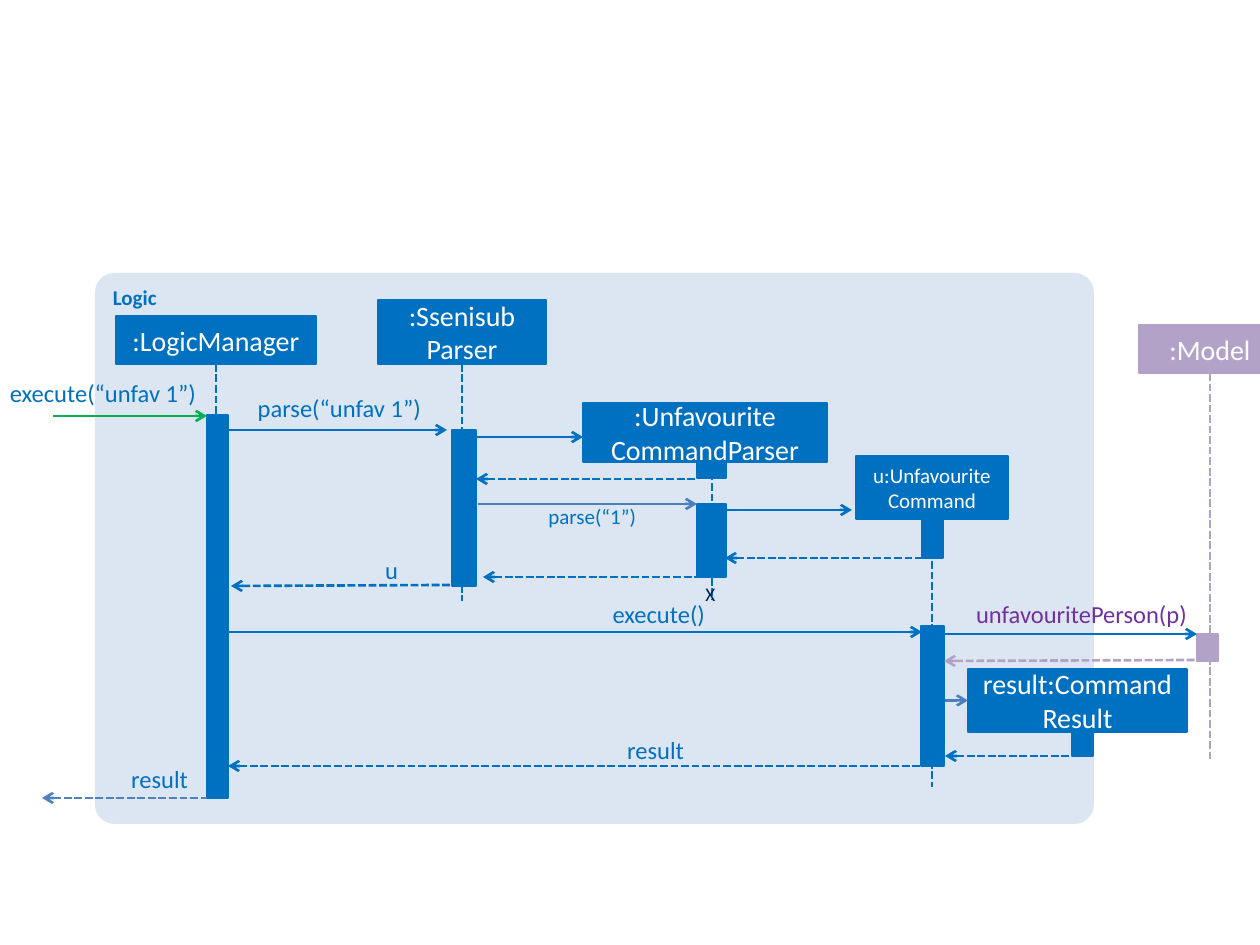
from lxml.etree import SubElement
from pptx import Presentation
from pptx.dml.color import RGBColor
from pptx.enum.dml import MSO_LINE
from pptx.enum.shapes import MSO_CONNECTOR, MSO_SHAPE
from pptx.enum.text import MSO_ANCHOR, MSO_AUTO_SIZE, PP_ALIGN
from pptx.oxml.ns import qn
from pptx.util import Emu, Pt

PX = 914400 // 126
COLORS = {
    "frame": "DCE6F2", "logic": "0070C0", "model": "B3A2C7", "entry": "00B050",
    "exit": "4F81BD", "call": "4B7EBC", "model_text": "7030A0",
    "destroy": "002060", "white": "FFFFFF",
}
FRAME = (95, 273, 999, 551)
HEADERS = {
    "manager": (":LogicManager", (116, 316, 200, 48), 16, "logic"),
    "parser": (":Ssenisub\nParser", (378, 300, 168, 64), 16, "logic"),
    "command": ("u:Unfavourite\vCommand", (856, 456, 152, 63), 12, "logic"),
    "model": (":Model", (1139, 325, 142, 48), 16, "model"),
    "result": ("result:Command Result", (968, 669, 219, 63), 16, "logic"),
    "command_parser": (":Unfavourite\nCommandParser", (583, 403, 244, 59), 16, "logic"),
}
LIFELINE_ENDS = {"manager": 725, "parser": 601, "command": 787, "model": 762}
COMMAND_PARSER_LIFELINE = (712, 462, 712, 599)
ACTIVATIONS = [
    ((207, 415, 21, 383), "logic"),
    ((452, 430, 24, 156), "logic"),
    ((922, 520, 21, 38), "logic"),
    ((921, 626, 23, 140), "logic"),
    ((1197, 634, 21, 28), "model"),
    ((1072, 732, 21, 24), "logic"),
    ((697, 462, 29, 16), "logic"),
    ((697, 504, 29, 73), "logic"),
]
CALLS = [
    ((53, 416, 207, 416), "entry"),
    ((228, 430, 447, 430), "logic"),
    ((470, 437, 583, 437), "logic"),
    ((478, 504, 697, 504), "call"),
    ((725, 510, 852, 510), "logic"),
    ((228, 632, 922, 632), "logic"),
    ((944, 634, 1197, 634), "logic"),
]
RESULT_CREATION_START = 945
RETURNS = [
    ((476, 479, 697, 479), "logic"),
    ((725, 558, 930, 558), "logic"),
    ((483, 577, 712, 577), "logic"),
    ((231, 586, 450, 585), "logic"),
    ((944, 661, 1197, 660), "model"),
    ((945, 756, 1079, 756), "logic"),
    ((228, 766, 924, 766), "logic"),
    ((42, 798, 207, 798), "exit"),
]
LABELS = [
    ("execute(“unfav 1”)", (-42, 378, 238, 30), 14, "logic"),
    ("parse(“unfav 1”)", (224, 393, 197, 30), 14, "logic"),
    ("parse(“1”)", (530, 504, 106, 25), 12, "logic"),
    ("u", (368, 555, 30, 30), 14, "logic"),
    ("execute()", (587, 599, 118, 30), 14, "logic"),
    ("unfavouritePerson(p)", (965, 599, 222, 30), 14, "model_text"),
    ("result", (598, 735, 86, 30), 14, "logic"),
    ("result", (83, 764, 105, 30), 14, "logic"),
]
DESTROY_MARK = ("X", (693, 576, 35, 37), 11, "destroy")

presentation = Presentation()
presentation.slide_width, presentation.slide_height = 1260 * PX, 945 * PX
slide = presentation.slides.add_slide(presentation.slide_layouts[6])


def color(name):
    return RGBColor.from_string(COLORS[name])


def scaled(lengths):
    return [Emu(length * PX) for length in lengths]


def write(shape, text, size, text_color, align, bold=False, **frame_format):
    text_frame = shape.text_frame
    for name, value in {"word_wrap": True, **frame_format}.items():
        setattr(text_frame, name, value)
    text_frame.text = text
    font_format = {"name": "Calibri", "size": Pt(size), "bold": bold}
    for paragraph in text_frame.paragraphs:
        paragraph.alignment = align
        for name, value in font_format.items():
            setattr(paragraph.font, name, value)
        paragraph.font.color.rgb = color(text_color)


def add_block(box, fill, line_width=None, kind=MSO_SHAPE.RECTANGLE):
    shape = slide.shapes.add_shape(kind, *scaled(box))
    shape.shadow.inherit = False
    shape.fill.solid()
    shape.fill.fore_color.rgb = color(fill)
    if line_width:
        shape.line.color.rgb = color(fill)
        shape.line.width = Pt(line_width)
    else:
        shape.line.fill.background()
    return shape


def add_line(points, line_color, dashed=False, arrow=None):
    connector = slide.shapes.add_connector(MSO_CONNECTOR.STRAIGHT, *scaled(points))
    connector.line.color.rgb = color(line_color)
    connector.line.width = Pt(1.5)
    if dashed:
        connector.line.dash_style = MSO_LINE.SQUARE_DOT
    properties = connector._element.spPr
    if arrow:
        SubElement(properties.find(qn("a:ln")), qn(arrow)).set("type", "arrow")
    SubElement(properties, qn("a:effectLst"))
    return connector


def add_label(text, box, size, text_color, align, **frame_format):
    label = slide.shapes.add_textbox(*scaled(box))
    write(label, text, size, text_color, align,
          auto_size=MSO_AUTO_SIZE.SHAPE_TO_FIT_TEXT, **frame_format)


frame = add_block(FRAME, "frame", kind=MSO_SHAPE.ROUNDED_RECTANGLE)
frame.adjustments[0] = 0.035
write(frame, "Logic", 12, "logic", PP_ALIGN.LEFT, bold=True,
      vertical_anchor=MSO_ANCHOR.TOP)

headers = {}
for key, (text, box, size, fill) in HEADERS.items():
    headers[key] = add_block(box, fill, 1.5)
    write(headers[key], text, size, "white", PP_ALIGN.CENTER,
          vertical_anchor=MSO_ANCHOR.MIDDLE)

for key, end in LIFELINE_ENDS.items():
    text, (left, top, width, height), size, fill = HEADERS[key]
    center = left + width // 2
    lifeline = add_line((center, top + height, center, end), fill, dashed=True)
    lifeline.begin_connect(headers[key], 2)
add_line(COMMAND_PARSER_LIFELINE, "logic", dashed=True)

for box, fill in ACTIVATIONS:
    add_block(box, fill, 0.75)

for points, line_color in CALLS:
    add_line(points, line_color, arrow="a:tailEnd")
for points, line_color in RETURNS:
    add_line(points, line_color, dashed=True, arrow="a:headEnd")

left, top, width, height = HEADERS["result"][1]
middle = top + height / 2
creation = add_line((RESULT_CREATION_START, middle, left, middle), "call", arrow="a:tailEnd")
creation.end_connect(headers["result"], 1)

no_margins = dict.fromkeys(
    ("margin_left", "margin_top", "margin_right", "margin_bottom"), 0)
for label in LABELS:
    add_label(*label, PP_ALIGN.RIGHT, **no_margins)
add_label(*DESTROY_MARK, PP_ALIGN.LEFT, word_wrap=False)

presentation.save("out.pptx")
